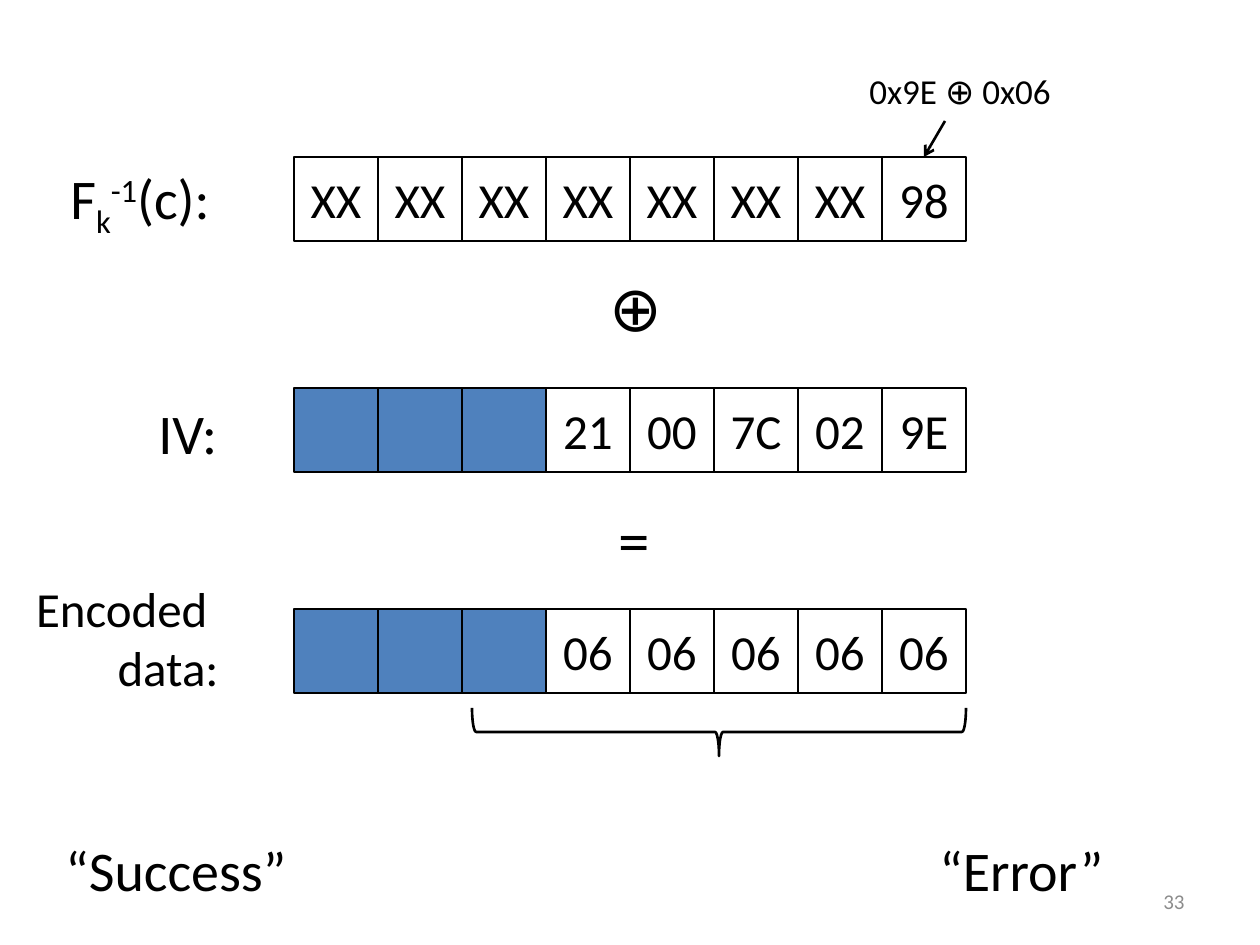
import pptx
import pptx.util
import pptx.dml.color
import pptx.enum.shapes
import pptx.enum.text
import pptx.oxml

EMU_PER_PX = 914400 / 126
SHAPE = pptx.enum.shapes.MSO_SHAPE
ALIGN = pptx.enum.text.PP_ALIGN
ANCHOR = pptx.enum.text.MSO_ANCHOR
RGB = pptx.dml.color.RGBColor.from_string
THEME = {
    "font": "Calibri", "ink": RGB("000000"), "paper": RGB("FFFFFF"),
    "blank": RGB("4F81BD"), "muted": RGB("8C8C8C"), "line": 1.5,
    "byte": 28, "label": 32, "operator": 36, "note": 20, "number": 12,
}


def px(*lengths):
    return [pptx.util.Emu(round(length * EMU_PER_PX)) for length in lengths]


def write(shape, pieces, size, align, anchor, wrap, color=THEME["ink"]):
    """Fill a shape with (text, baseline) pieces; a newline breaks the line."""
    frame = shape.text_frame
    for name, value in {"word_wrap": wrap, "vertical_anchor": anchor}.items():
        setattr(frame, name, value)
    paragraph = frame.paragraphs[0]
    paragraph.alignment = align
    for text, baseline in pieces:
        if text == "\n":
            paragraph.add_line_break()
            continue
        run = paragraph.add_run()
        run.text = text
        style = {"name": THEME["font"], "size": pptx.util.Pt(THEME[size])}
        for name, value in style.items():
            setattr(run.font, name, value)
        run.font.color.rgb = color
        if baseline:
            run.font._element.set("baseline", str(baseline * 1000))


deck = pptx.Presentation()
deck.slide_width, deck.slide_height = px(1260, 945)
slide = deck.slides.add_slide(deck.slide_layouts[6])

# Labels, operators and outcomes
labels = [
    (58, 157, 173, 81, "label", ALIGN.LEFT, [("F", 0), ("k", -25), ("-1", 30), ("(c):", 0)]),
    (146, 392, 86, 81, "label", ALIGN.LEFT, [("IV:", 0)]),
    (597, 262, 74, 89, "operator", ALIGN.LEFT, [("⊕", 0)]),
    (606, 494, 57, 89, "operator", ALIGN.LEFT, [("=", 0)]),
    (21, 572, 210, 131, "byte", ALIGN.RIGHT, [("Encoded ", 0), ("\n", 0), ("data:", 0)]),
    (53, 829, 248, 81, "label", ALIGN.LEFT, [("“Success”", 0)]),
    (927, 829, 190, 81, "label", ALIGN.LEFT, [("“Error”", 0)]),
    (857, 63, 214, 55, "note", ALIGN.LEFT, [("0x9E ⊕ 0x06", 0)]),
]
for left, top, width, height, size, align, pieces in labels:
    label = slide.shapes.add_textbox(*px(left, top, width, height))
    write(label, pieces, size, align, ANCHOR.TOP, False)

# Slide number
number = slide.shapes.add_textbox(*px(903, 876, 294, 50))
write(number, [("33", 0)], "number", ALIGN.RIGHT, ANCHOR.MIDDLE, True, THEME["muted"])

# Arrow from the note to the last byte
arrow = slide.shapes.add_connector(
    pptx.enum.shapes.MSO_CONNECTOR.STRAIGHT, *px(945, 121, 924, 157))
arrow.line.color.rgb = THEME["ink"]
arrow.line.width = pptx.util.Pt(THEME["line"])
namespace = 'xmlns:a="http://schemas.openxmlformats.org/drawingml/2006/main"'
arrow.line._get_or_add_ln().append(
    pptx.oxml.parse_xml(f'<a:tailEnd {namespace} type="arrow"/>'))
arrow._element.spPr.append(pptx.oxml.parse_xml(f"<a:effectLst {namespace}/>"))

# Three rows of eight bytes; an empty string is a blank byte
CELL, ROW_LEFT = 84, 294
byte_rows = [
    (157, ["XX"] * 7 + ["98"]),
    (388, [""] * 3 + ["21", "00", "7C", "02", "9E"]),
    (609, [""] * 3 + ["06"] * 5),
]
outlined = []
for top, row in byte_rows:
    for column, byte in enumerate(row):
        cell = slide.shapes.add_shape(
            SHAPE.RECTANGLE, *px(ROW_LEFT + column * CELL, top, CELL, CELL))
        if byte in ("", "98", "06"):
            cell.fill.solid()
            cell.fill.fore_color.rgb = THEME["paper"] if byte else THEME["blank"]
        else:
            cell.fill.background()
        if byte:
            write(cell, [(byte, 0)], "byte", ALIGN.CENTER, ANCHOR.MIDDLE, True)
        outlined.append(cell)

# Brace under the padding
brace = slide.shapes.add_shape(SHAPE.RIGHT_BRACE, *px(695, 485, 48, 494))
brace.rotation = 90
brace.fill.background()
outlined.append(brace)

for shape in outlined:
    shape.shadow.inherit = False
    shape.line.color.rgb = THEME["ink"]
    shape.line.width = pptx.util.Pt(THEME["line"])

deck.save("out.pptx")
